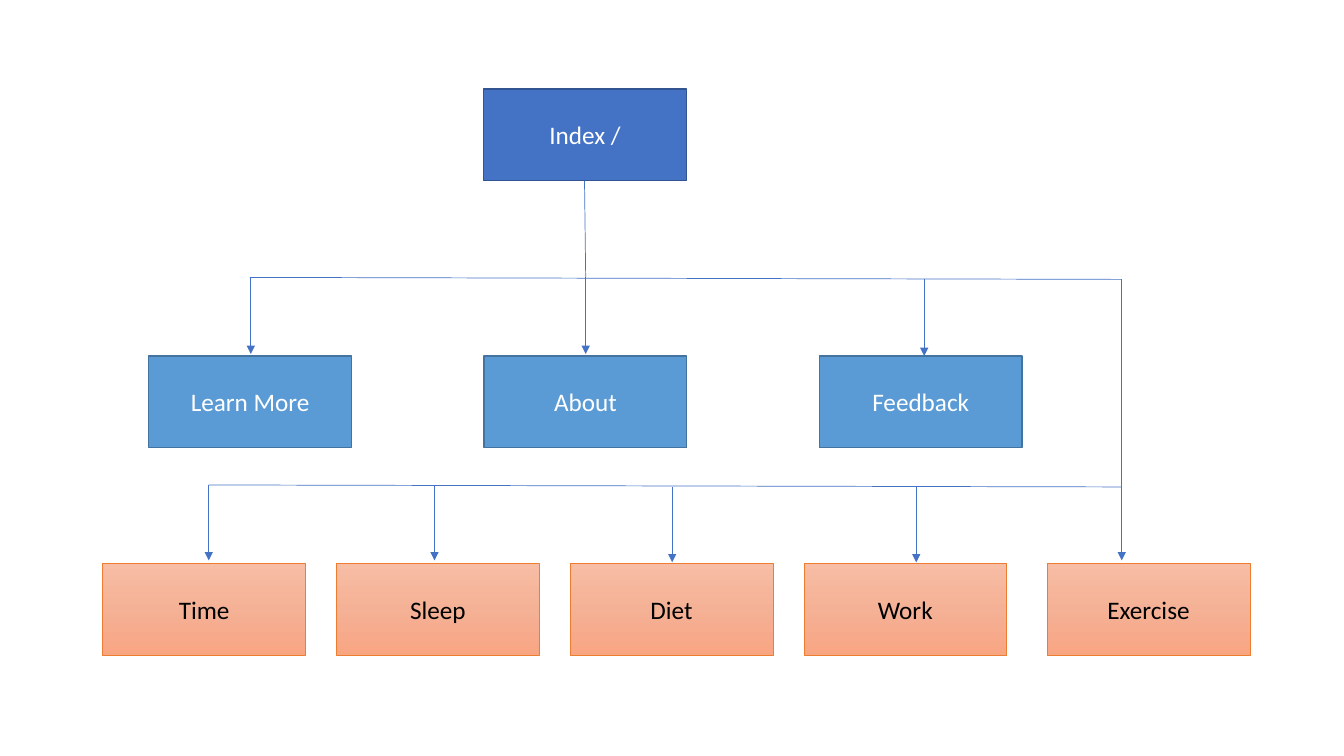
"""Build a site map slide: index page, three main pages and five topic pages."""
from copy import deepcopy
from dataclasses import dataclass

from lxml import etree
from pptx import Presentation
from pptx.dml.color import RGBColor
from pptx.enum.shapes import MSO_CONNECTOR, MSO_SHAPE
from pptx.enum.text import MSO_ANCHOR, PP_ALIGN
from pptx.oxml.ns import qn
from pptx.shapes.autoshape import Shape
from pptx.slide import Slide
from pptx.util import Cm, Pt

RECTANGLE = MSO_SHAPE.RECTANGLE
STRAIGHT = MSO_CONNECTOR.STRAIGHT
CENTER = PP_ALIGN.CENTER
MIDDLE = MSO_ANCHOR.MIDDLE

WHITE = RGBColor(0xFF, 0xFF, 0xFF)
BLACK = RGBColor(0x00, 0x00, 0x00)
INDEX_BLUE = RGBColor(0x44, 0x72, 0xC4)
INDEX_EDGE = RGBColor(0x32, 0x54, 0x91)
PAGE_BLUE = RGBColor(0x5B, 0x9B, 0xD5)
PAGE_EDGE = RGBColor(0x43, 0x73, 0x9E)
TOPIC_EDGE = RGBColor(0xED, 0x7D, 0x31)
TOPIC_SHADES = (
    RGBColor(0xF7, 0xBD, 0xA5),
    RGBColor(0xF5, 0xB1, 0x96),
    RGBColor(0xF8, 0xA5, 0x82),
)

BOX_WIDTH, BOX_HEIGHT = 5.11, 2.31
INDEX_LEFT, INDEX_TOP = 12.19, 2.24
PAGE_LEFT, PAGE_TOP, PAGE_PITCH = 3.75, 8.97, 8.45
TOPIC_LEFT, TOPIC_TOP, TOPIC_PITCH = 2.59, 14.2, 5.89
EXERCISE_LEFT = 26.39
BRANCH_X = 28.27
PAGE_ARROW, TOPIC_ARROW = 1.93, 1.9


@dataclass(frozen=True)
class BoxStyle:
    """Colours of one level of the site map."""

    shades: tuple[RGBColor, ...]
    edge: RGBColor
    edge_width: float
    text: RGBColor


@dataclass(frozen=True)
class Link:
    """A line between two points, in centimetres."""

    x1: float
    y1: float
    x2: float
    y2: float
    arrow: bool = False


INDEX_STYLE = BoxStyle((INDEX_BLUE,), INDEX_EDGE, 1, WHITE)
PAGE_STYLE = BoxStyle((PAGE_BLUE,), PAGE_EDGE, 1, WHITE)
TOPIC_STYLE = BoxStyle(TOPIC_SHADES, TOPIC_EDGE, 0.5, BLACK)

PAGES = ("Learn More", "About", "Feedback")
TOPICS = ("Time", "Sleep", "Diet", "Work")
PAGE_DROPS = ((6.32, 6.99), (14.76, 6.99), (23.29, 7.04))
TOPIC_DROPS = (
    (5.26, 12.22),
    (10.95, 12.22),
    (16.94, 12.27),
    (23.09, 12.27),
    (BRANCH_X, 12.22),
)
BRANCHES = (
    Link(14.73, 4.55, 14.76, 6.99),
    Link(6.3, 6.99, BRANCH_X, 7.04),
    Link(BRANCH_X, 7.04, BRANCH_X, 12.27),
    Link(5.26, 12.22, BRANCH_X, 12.27),
)


def fill_box(box: Shape, shades: tuple[RGBColor, ...]) -> None:
    """Fill a box with one colour or a top-to-bottom gradient of three."""
    if len(shades) == 1:
        box.fill.solid()
        box.fill.fore_color.rgb = shades[0]
        return
    fill = box.fill
    fill.gradient()
    fill.gradient_angle = 270
    stop_list = next(box._element.iter(qn("a:gsLst")))
    stop_list.insert(1, deepcopy(stop_list[0]))
    for index, (stop, shade) in enumerate(zip(fill.gradient_stops, shades)):
        stop.position = index / (len(shades) - 1)
        stop.color.rgb = shade


def add_box(slide: Slide, label: str, left: float, top: float, style: BoxStyle) -> None:
    """Draw one labelled page box."""
    box = slide.shapes.add_shape(
        RECTANGLE, Cm(left), Cm(top), Cm(BOX_WIDTH), Cm(BOX_HEIGHT)
    )
    box.shadow.inherit = False
    fill_box(box, style.shades)
    box.line.color.rgb = style.edge
    box.line.width = Pt(style.edge_width)
    frame = box.text_frame
    frame.text = label
    frame.vertical_anchor = MIDDLE
    paragraph = frame.paragraphs[0]
    paragraph.alignment = CENTER
    font = paragraph.runs[0].font
    font.name = "Calibri"
    font.size = Pt(18)
    font.color.rgb = style.text


def add_link(slide: Slide, link: Link) -> None:
    """Draw one connecting line, with an arrowhead where asked."""
    connector = slide.shapes.add_connector(
        STRAIGHT, Cm(link.x1), Cm(link.y1), Cm(link.x2), Cm(link.y2)
    )
    connector.line.color.rgb = INDEX_BLUE
    connector.line.width = Pt(0.5)
    properties = connector._element.spPr
    if link.arrow:
        outline = properties.find(qn("a:ln"))
        etree.SubElement(outline, qn("a:tailEnd"), type="triangle")
    etree.SubElement(properties, qn("a:effectLst"))


def build() -> None:
    """Draw the site map and save it."""
    presentation = Presentation()
    presentation.slide_width = Cm(33.87)
    presentation.slide_height = Cm(19.05)
    slide = presentation.slides.add_slide(presentation.slide_layouts[6])

    for branch in BRANCHES:
        add_link(slide, branch)
    for drops, length in ((PAGE_DROPS, PAGE_ARROW), (TOPIC_DROPS, TOPIC_ARROW)):
        for x, y in drops:
            add_link(slide, Link(x, y, x, y + length, arrow=True))

    add_box(slide, "Index /", INDEX_LEFT, INDEX_TOP, INDEX_STYLE)
    for column, page in enumerate(PAGES):
        add_box(slide, page, PAGE_LEFT + column * PAGE_PITCH, PAGE_TOP, PAGE_STYLE)
    for column, topic in enumerate(TOPICS):
        add_box(slide, topic, TOPIC_LEFT + column * TOPIC_PITCH, TOPIC_TOP, TOPIC_STYLE)
    add_box(slide, "Exercise", EXERCISE_LEFT, TOPIC_TOP, TOPIC_STYLE)

    presentation.save("out.pptx")


build()
